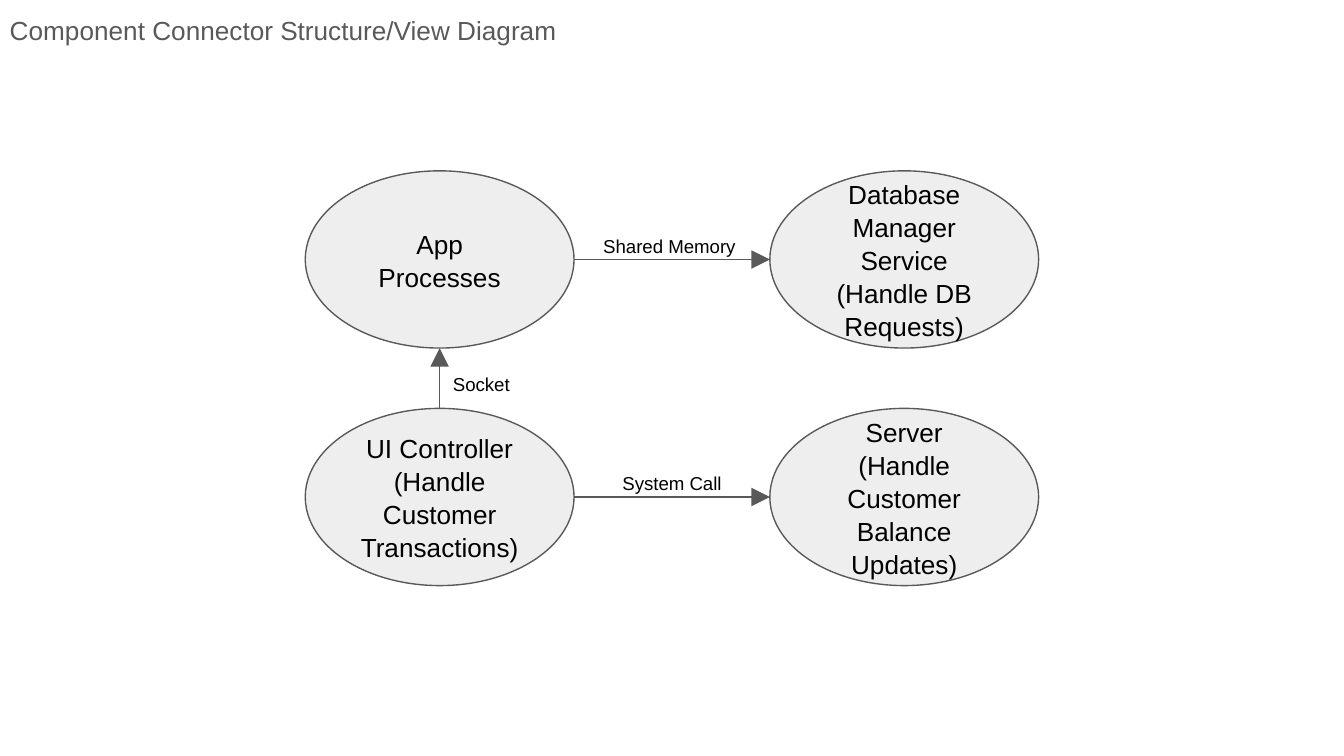
from lxml import etree
from pptx import Presentation
from pptx.dml.color import RGBColor
from pptx.enum.shapes import MSO_CONNECTOR, MSO_SHAPE
from pptx.enum.text import MSO_ANCHOR, MSO_AUTO_SIZE, PP_ALIGN
from pptx.oxml.ns import qn
from pptx.util import Cm, Pt

BLACK = RGBColor(0x00, 0x00, 0x00)
GRAY = RGBColor(0x59, 0x59, 0x59)
PALE = RGBColor(0xEE, 0xEE, 0xEE)
ELLIPSE = MSO_SHAPE.OVAL
STRAIGHT = MSO_CONNECTOR.STRAIGHT
LEFT, CENTER = PP_ALIGN.LEFT, PP_ALIGN.CENTER
TOP, MIDDLE = MSO_ANCHOR.TOP, MSO_ANCHOR.MIDDLE
NO_FIT = MSO_AUTO_SIZE.NONE

NODE_W, NODE_H = 5.08, 3.35
LABEL_W, LABEL_H = 3.1, 0.74
COLUMNS = (5.77, 14.55)
ROWS = (3.23, 7.72)
TOP_SITE, LEFT_SITE, BOTTOM_SITE, RIGHT_SITE = 0, 2, 4, 6
SITE_OFFSETS = {
    TOP_SITE: (0.5, 0),
    LEFT_SITE: (0, 0.5),
    BOTTOM_SITE: (0.5, 1),
    RIGHT_SITE: (1, 0.5),
}


class Diagram:
    font = "Arial"
    line_width = Pt(0.75)

    def __init__(self, slide):
        self.slide = slide

    def set_text(self, frame, text, size, color, align, anchor):
        frame.auto_size = NO_FIT
        frame.word_wrap = True
        frame.vertical_anchor = anchor
        frame.margin_left = frame.margin_right = Cm(0.25)
        frame.margin_top = frame.margin_bottom = Cm(0.25)
        paragraph = frame.paragraphs[0]
        paragraph.alignment = align
        paragraph.line_spacing = 1.05
        paragraph.space_before = Pt(0)
        run = paragraph.add_run()
        run.text = text
        run.font.name = self.font
        run.font.size = Pt(size)
        run.font.color.rgb = color

    def title(self, text, left, top, width, height):
        heading = self.slide.shapes.title
        heading.left, heading.top = Cm(left), Cm(top)
        heading.width, heading.height = Cm(width), Cm(height)
        self.set_text(heading.text_frame, text, 14, GRAY, CENTER, TOP)

    def node(self, text, column, row):
        component = self.slide.shapes.add_shape(
            ELLIPSE, Cm(COLUMNS[column]), Cm(ROWS[row]), Cm(NODE_W), Cm(NODE_H))
        component.shadow.inherit = False
        component.fill.solid()
        component.fill.fore_color.rgb = PALE
        component.line.color.rgb = GRAY
        component.line.width = self.line_width
        self.set_text(component.text_frame, text, 14, BLACK, CENTER, MIDDLE)
        return component

    def site_point(self, node, site):
        across, down = SITE_OFFSETS[site]
        return (int(node.left + across * node.width),
                int(node.top + down * node.height))

    def arrow(self, source, source_site, target, target_site):
        link = self.slide.shapes.add_connector(
            STRAIGHT, *self.site_point(source, source_site),
            *self.site_point(target, target_site))
        link._connect_begin_to(source, source_site)
        link._connect_end_to(target, target_site)
        link.line.color.rgb = GRAY
        link.line.width = self.line_width
        etree.SubElement(link.line._get_or_add_ln(), qn("a:tailEnd"),
                         type="triangle", w="lg", len="lg")
        etree.SubElement(link._element.spPr, qn("a:effectLst"))

    def label(self, text, left, top, align):
        caption = self.slide.shapes.add_textbox(
            Cm(left), Cm(top), Cm(LABEL_W), Cm(LABEL_H))
        self.set_text(caption.text_frame, text, 10, BLACK, align, TOP)


presentation = Presentation()
presentation.slide_width = Cm(25.4)
presentation.slide_height = Cm(14.29)
diagram = Diagram(presentation.slides.add_slide(presentation.slide_layouts[5]))

diagram.title("Component Connector Structure/View Diagram", -0.18, 0, 11.07, 0.74)

app = diagram.node("App Processes", 0, 0)
database = diagram.node("Database Manager Service (Handle DB Requests)", 1, 0)
controller = diagram.node("UI Controller (Handle Customer Transactions)", 0, 1)
server = diagram.node("Server (Handle Customer Balance Updates)", 1, 1)

diagram.arrow(app, RIGHT_SITE, database, LEFT_SITE)
diagram.arrow(controller, TOP_SITE, app, BOTTOM_SITE)
diagram.arrow(controller, RIGHT_SITE, server, LEFT_SITE)

label_left = (COLUMNS[0] + NODE_W + COLUMNS[1] - LABEL_W) / 2
label_rise = NODE_H / 2 - LABEL_H
diagram.label("Shared Memory", label_left, ROWS[0] + label_rise, LEFT)
diagram.label("System Call", label_left, ROWS[1] + label_rise, CENTER)
diagram.label("Socket", COLUMNS[0] + NODE_W / 2, 6.78, LEFT)

presentation.save("out.pptx")
